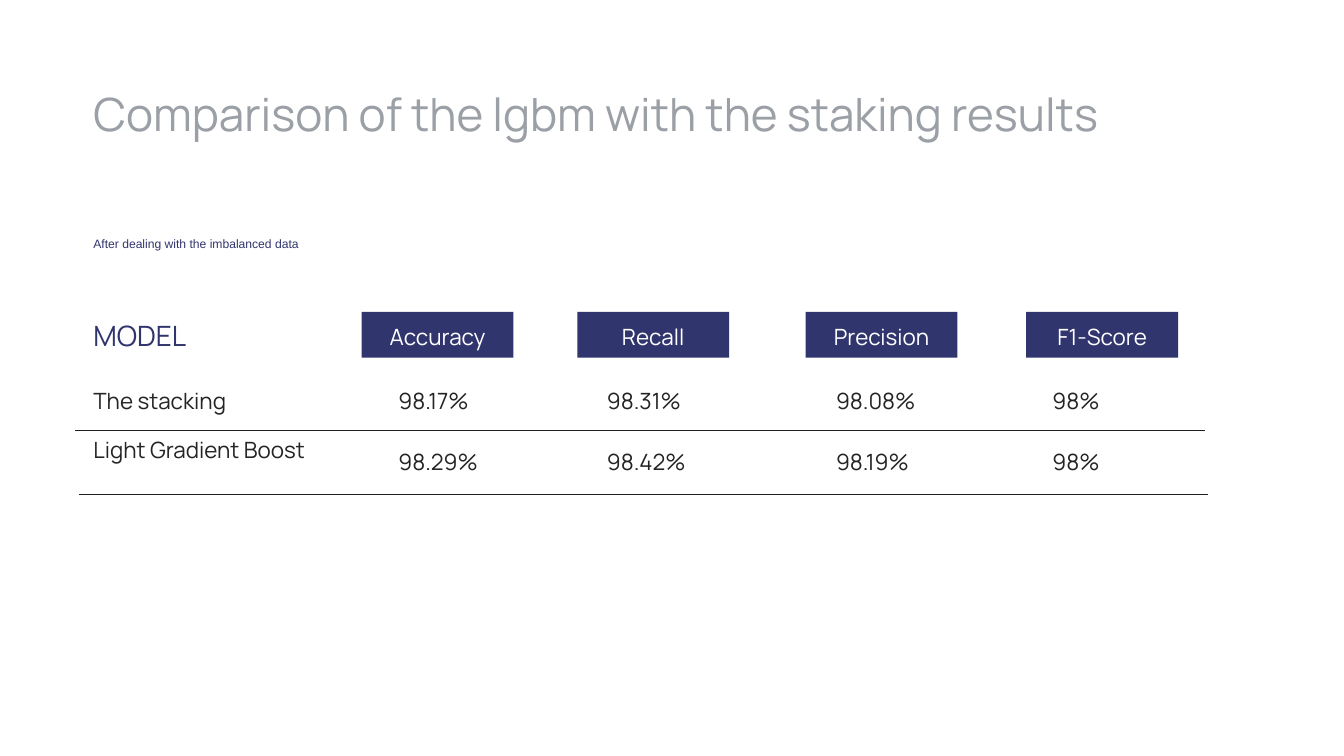
import pptx
import pptx.dml.color
import pptx.enum.shapes
import pptx.enum.text
import pptx.oxml.ns
import pptx.util
from lxml import etree

Cm = pptx.util.Cm
Pt = pptx.util.Pt
RGBColor = pptx.dml.color.RGBColor

NAVY = RGBColor(0x31, 0x35, 0x6E)
GREY = RGBColor(0x9B, 0x9F, 0xA6)
INK = RGBColor(0x24, 0x24, 0x24)
RULE = RGBColor(0x21, 0x21, 0x22)
WHITE = RGBColor(0xFF, 0xFF, 0xFF)

LEFT = 3.53
COLUMNS = [
    ("Accuracy", 13.67, 15.06, ("98.17%", "98.29%")),
    ("Recall", 21.82, 22.94, ("98.31%", "98.42%")),
    ("Precision", 30.45, 31.6, ("98.08%", "98.19%")),
    ("F1-Score", 38.79, 39.78, ("98%", "98%")),
]
VALUE_TOPS = (14.45, 16.79)
MODELS = [
    ("The stacking", 14.45, 8.99, 1.14),
    ("Light Gradient Boost", 16.31, 8.36, 2.34),
]
RULES = [(2.84, 45.54, 16.28), (3, 45.67, 18.67)]


def set_text(sp, text, size, color, spacing, font="Manrope"):
    tf = sp.text_frame
    tf.word_wrap = True
    tf.margin_left = tf.margin_right = tf.margin_top = tf.margin_bottom = 0
    p = tf.paragraphs[0]
    p.text = text
    p.line_spacing = Pt(spacing)
    p.font.size = Pt(size)
    p.font.name = font
    p.font.color.rgb = color
    return p


def add_text(s, text, x, y, w, h, size=24, color=INK, spacing=33.6, font="Manrope"):
    sp = s.shapes.add_textbox(Cm(x), Cm(y), Cm(w), Cm(h))
    set_text(sp, text, size, color, spacing, font)


def add_header(s, text, x):
    sp = s.shapes.add_shape(
        pptx.enum.shapes.MSO_SHAPE.RECTANGLE, Cm(x), Cm(11.79), Cm(5.74), Cm(1.73)
    )
    sp.shadow.inherit = False
    sp.fill.solid()
    sp.fill.fore_color.rgb = NAVY
    sp.line.fill.background()
    p = set_text(sp, text, 24, WHITE, 33.6)
    p.alignment = pptx.enum.text.PP_ALIGN.CENTER
    sp.text_frame.vertical_anchor = pptx.enum.text.MSO_ANCHOR.MIDDLE


def add_rule(s, x1, x2, y):
    line = s.shapes.add_connector(
        pptx.enum.shapes.MSO_CONNECTOR.STRAIGHT, Cm(x1), Cm(y), Cm(x2), Cm(y)
    )
    line.line.color.rgb = RULE
    line.line.width = Pt(0.75)
    etree.SubElement(line._element.spPr, pptx.oxml.ns.qn("a:effectLst"))


def main():
    prs = pptx.Presentation()
    prs.slide_width = Cm(50.8)
    prs.slide_height = Cm(28.58)
    s = prs.slides.add_slide(prs.slide_layouts[6])

    add_text(s, "Comparison of the lgbm with the staking results",
             LEFT, 3.25, 41.61, 4.14, 49, GREY, 58.8)
    add_text(s, "After dealing with the imbalanced data",
             LEFT, 7.9, 41.61, 3.07, 13, NAVY, 44.8, "Arial")
    add_text(s, "MODEL", LEFT, 11.84, 3.63, 1.42, 30, NAVY, 42)

    for x1, x2, y in RULES:
        add_rule(s, x1, x2, y)
    for name, y, w, h in MODELS:
        add_text(s, name, LEFT, y, w, h)
    for title, header_x, value_x, values in COLUMNS:
        add_header(s, title, header_x)
        for value, y in zip(values, VALUE_TOPS):
            add_text(s, value, value_x, y, 6.43, 1.14)

    prs.save("out.pptx")


if __name__ == "__main__":
    main()
